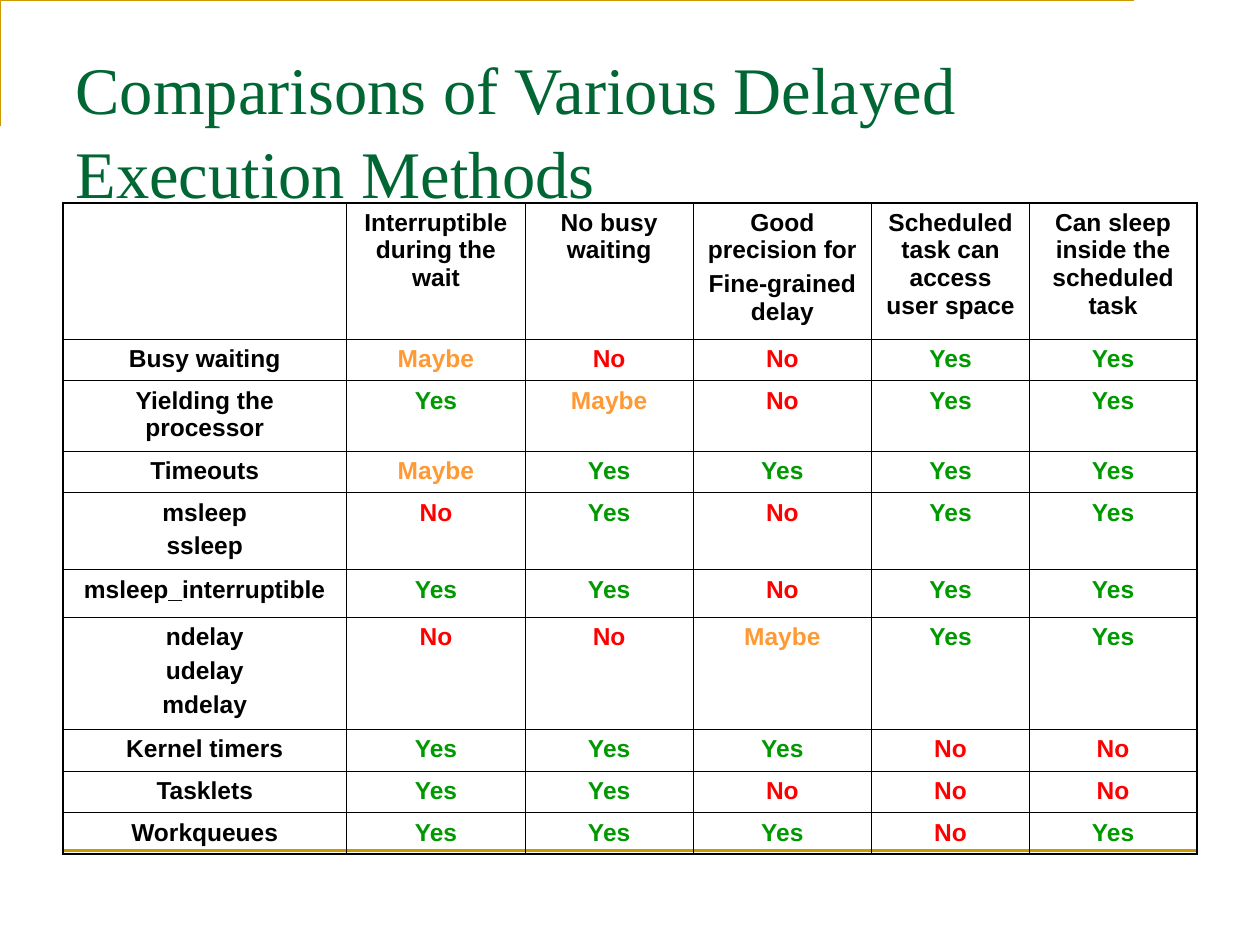
from lxml import etree
from pptx import Presentation
from pptx.dml.color import RGBColor
from pptx.enum.shapes import MSO_CONNECTOR
from pptx.enum.text import MSO_ANCHOR, MSO_AUTO_SIZE, PP_ALIGN
from pptx.oxml import parse_xml
from pptx.oxml.ns import nsdecls, qn
from pptx.util import Inches, Pt

STRAIGHT = MSO_CONNECTOR.STRAIGHT
TOP = MSO_ANCHOR.TOP
FIXED = MSO_AUTO_SIZE.NONE
LEFT, CENTER = PP_ALIGN.LEFT, PP_ALIGN.CENTER

GOLD, GREEN, BLACK = "CC9900", "006633", "000000"
TONES = {"Yes": "009900", "No": "FF0000", "Maybe": "FF9933"}
THIN, THICK = 0.45, 1.08
EDGE, WIDE = 0.5, 9

TITLE_FONT = {"name": "Times New Roman", "size": Pt(38), "bold": False}
CELL_FONT = {"name": "Arial", "size": Pt(14), "bold": True}

COLS = [2.25, 1.42, 1.33, 1.42, 1.25, 1.33]
HEAD = ["", "Interruptible during the wait", "No busy waiting",
        "Good precision for\nFine-grained delay",
        "Scheduled task can access user space",
        "Can sleep inside the scheduled task"]
HEAD_H = 1.08
# Row height, method, answers
ROWS = [
    (0.33, "Busy waiting", "Maybe No No Yes Yes"),
    (0.56, "Yielding the processor", "Yes Maybe No Yes Yes"),
    (0.33, "Timeouts", "Maybe Yes Yes Yes Yes"),
    (0.61, "msleep\nssleep", "No Yes No Yes Yes"),
    (0.38, "msleep_interruptible", "Yes Yes No Yes Yes"),
    (0.89, "ndelay\nudelay\nmdelay", "No No Maybe Yes Yes"),
    (0.33, "Kernel timers", "Yes Yes Yes No No"),
    (0.33, "Tasklets", "Yes Yes No No No"),
    (0.33, "Workqueues", "Yes Yes Yes No Yes"),
]


def color(code):
    return RGBColor.from_string(code)


def style(font, form, code):
    for key, value in form.items():
        setattr(font, key, value)
    font.color.rgb = color(code)


def stroke(shape):
    shape.line.color.rgb = color(GOLD)
    shape.line.width = Pt(1.5)


def add_frame(slide):
    """Gold corner around the title."""
    left, top = 0.42, 0.25
    pen = slide.shapes.build_freeform(left, top + 0.67, scale=Inches(1))
    pen.add_line_segments([(left, top), (left + WIDE, top)], close=False)
    frame = pen.convert_to_shape()
    frame.shadow.inherit = False
    frame.fill.background()
    stroke(frame)


def add_rule(slide, y):
    """Gold line across the foot of the slide."""
    rule = slide.shapes.add_connector(
        STRAIGHT, Inches(EDGE), Inches(y), Inches(EDGE + WIDE), Inches(y))
    stroke(rule)
    etree.SubElement(rule._element.spPr, qn("a:effectLst"))


def add_title(slide, text):
    title = slide.shapes.title
    title.left, title.top = Inches(EDGE), Inches(0.3)
    title.width, title.height = Inches(WIDE), Inches(1.25)
    frame = title.text_frame
    frame.auto_size = FIXED
    frame.word_wrap = True
    frame.vertical_anchor = TOP
    frame.text = text
    para = frame.paragraphs[0]
    para.alignment = LEFT
    para.line_spacing = 1.05
    style(para.runs[0].font, TITLE_FONT, GREEN)


def set_sides(cell, sides):
    """Draw the cell's borders; the lines precede the fill in the XML."""
    props = cell._tc.get_or_add_tcPr()
    for i, (side, width) in enumerate(sides.items()):
        props.insert(i, parse_xml(
            f'<a:ln{side} {nsdecls("a")} w="{Pt(width)}"><a:solidFill>'
            f'<a:srgbClr val="{BLACK}"/></a:solidFill></a:ln{side}>'))


def fill_cell(cell, text):
    cell.fill.background()
    cell.vertical_anchor = TOP
    cell.text = text
    for para in cell.text_frame.paragraphs:
        para.alignment = CENTER
        para.space_before = Pt(3.5)
        style(para.font, CELL_FONT, BLACK)
        for run in para.runs:
            style(run.font, CELL_FONT, TONES.get(text, BLACK))


def add_grid(slide):
    heights = [HEAD_H] + [row[0] for row in ROWS]
    texts = [HEAD] + [[name, *marks.split()] for _, name, marks in ROWS]
    last_row, last_col = len(heights) - 1, len(COLS) - 1
    grid = slide.shapes.add_table(
        len(heights), len(COLS), Inches(EDGE), Inches(1.61),
        Inches(WIDE), Inches(sum(heights))).table
    grid.first_row = grid.horz_banding = False
    for col, width in zip(grid.columns, COLS):
        col.width = Inches(width)
    for row, height in zip(grid.rows, heights):
        row.height = Inches(height)
    for r, line in enumerate(texts):
        for c, text in enumerate(line):
            cell = grid.cell(r, c)
            fill_cell(cell, text)
            # Outer edges are thick, inner ones thin
            outer = {"L": c == 0, "R": c == last_col,
                     "T": r == 0, "B": r == last_row}
            set_sides(cell, {side: THICK if out else THIN
                             for side, out in outer.items()})


def main():
    deck = Presentation()
    deck.slide_width, deck.slide_height = Inches(10), Inches(7.5)
    slide = deck.slides.add_slide(deck.slide_layouts[5])
    add_frame(slide)
    add_rule(slide, 6.75)
    add_title(slide, "Comparisons of Various Delayed Execution Methods")
    add_grid(slide)
    deck.save("out.pptx")


if __name__ == "__main__":
    main()
